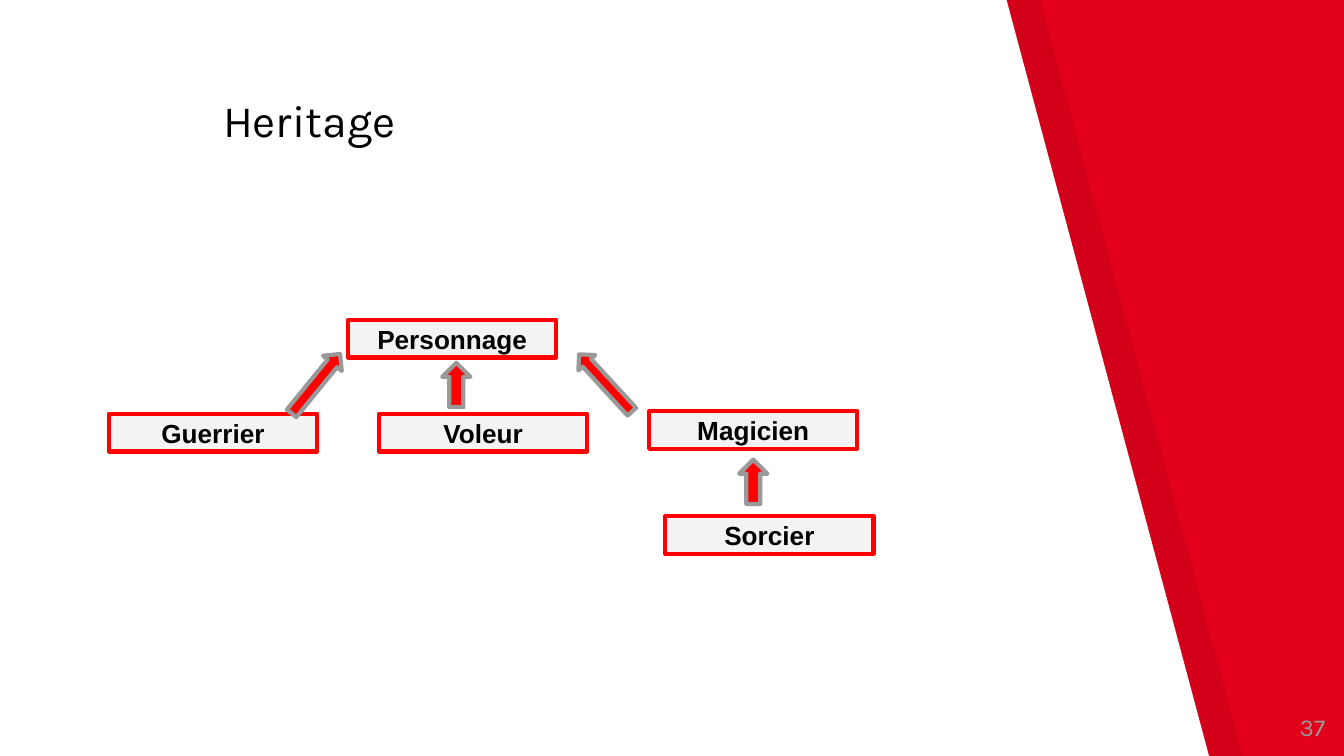
"""Build the inheritance slide: a class hierarchy beside a slanted red band."""
from lxml import etree
from pptx import Presentation
from pptx.dml.color import RGBColor
from pptx.enum.shapes import MSO_SHAPE
from pptx.enum.text import MSO_ANCHOR, MSO_AUTO_SIZE, PP_ALIGN
from pptx.oxml.ns import qn
from pptx.util import Inches, Pt

RECTANGLE, UP_ARROW = MSO_SHAPE.RECTANGLE, MSO_SHAPE.UP_ARROW
MIDDLE, BOTTOM = MSO_ANCHOR.MIDDLE, MSO_ANCHOR.BOTTOM
LEFT, CENTER, RIGHT = PP_ALIGN.LEFT, PP_ALIGN.CENTER, PP_ALIGN.RIGHT
NO_AUTOFIT = MSO_AUTO_SIZE.NONE

THEME = {
    "band": "E2001A", "page": "FFFFFF", "shade": "000000", "shade_alpha": 7,
    "text": "000000", "muted": "999999", "box": "F3F3F3", "accent": "FF0000",
    "title_font": "Karla", "box_font": "Arial",
    "title_size": 24, "number_size": 13, "box_size": 14, "line": 2.25,
}
SLIDE_WIDTH = 10
SLIDE_HEIGHT = SLIDE_WIDTH * 9 / 16
TITLE, TITLE_AREA = "Heritage", (1.56, 0.74, 6.55, 0.45)
PAGE_NUMBER, NUMBER_AREA = "37", (9.36, 5.19, 0.6, 0.43)
PANEL_OUTLINE = [(0, -0.01), (0, 5.64), (9, 5.64), (7.49, 0)]
PANELS = [(0.25, "shade", THEME["shade_alpha"]), (0, "page", 100)]
CLASS_SIZE = (1.55, 0.28)
CLASSES = [
    ("Personnage", 2.59, 2.38),
    ("Guerrier", 0.81, 3.08),
    ("Voleur", 2.82, 3.08),
    ("Magicien", 4.83, 3.06),
    ("Sorcier", 4.95, 3.84),
]
INHERITANCE_ARROWS = [
    ((2.26, 2.57, 0.18, 0.57), 39.2),
    ((3.29, 2.7, 0.21, 0.33), 0),
    ((4.42, 2.56, 0.17, 0.58), 317.4),
    ((5.5, 3.42, 0.21, 0.33), 0),
]


def color(name):
    return RGBColor.from_string(THEME[name])


def inches(values):
    return [Inches(value) for value in values]


def write(shape, text, font, size, ink, align, anchor, bold=False):
    frame = shape.text_frame
    frame.word_wrap = True
    frame.auto_size = NO_AUTOFIT
    frame.vertical_anchor = anchor
    frame.margin_left = frame.margin_right = Inches(0.1)
    frame.margin_top = frame.margin_bottom = Inches(0.1)
    paragraph = frame.paragraphs[0]
    paragraph.alignment = align
    run = paragraph.add_run()
    run.text = text
    run.font.name = THEME[font]
    run.font.size = Pt(THEME[size])
    run.font.bold = bold
    run.font.color.rgb = color(ink)


def add_outlined(slide, preset, area, fill, line):
    shape = slide.shapes.add_shape(preset, *inches(area))
    shape.shadow.inherit = False
    shape.fill.solid()
    shape.fill.fore_color.rgb = color(fill)
    shape.line.color.rgb = color(line)
    shape.line.width = Pt(THEME["line"])
    return shape


def add_panel(slide, shift, fill, alpha):
    start, *corners = [inches((x + shift, y)) for x, y in PANEL_OUTLINE]
    builder = slide.shapes.build_freeform(*start)
    builder.add_line_segments(corners, close=True)
    panel = builder.convert_to_shape()
    panel.shadow.inherit = False
    panel.fill.solid()
    panel.fill.fore_color.rgb = color(fill)
    panel.line.fill.background()
    if alpha < 100:
        tint = panel.element.spPr.find(qn("a:solidFill"))[0]
        etree.SubElement(tint, qn("a:alpha"), val=str(alpha * 1000))
    slide.shapes.title.element.addprevious(panel.element)


def main():
    deck = Presentation()
    deck.slide_width, deck.slide_height = inches((SLIDE_WIDTH, SLIDE_HEIGHT))
    slide = deck.slides.add_slide(deck.slide_layouts[5])
    slide.background.fill.solid()
    slide.background.fill.fore_color.rgb = color("band")
    for panel in PANELS:
        add_panel(slide, *panel)

    title = slide.shapes.title
    title.left, title.top, title.width, title.height = inches(TITLE_AREA)
    write(title, TITLE, "title_font", "title_size", "text", LEFT, BOTTOM)
    number = slide.shapes.add_textbox(*inches(NUMBER_AREA))
    write(number, PAGE_NUMBER, "title_font", "number_size", "muted", RIGHT, MIDDLE)

    for name, left, top in CLASSES:
        box = add_outlined(slide, RECTANGLE, (left, top, *CLASS_SIZE), "box", "accent")
        write(box, name, "box_font", "box_size", "text", CENTER, MIDDLE, bold=True)
    for area, angle in INHERITANCE_ARROWS:
        arrow = add_outlined(slide, UP_ARROW, area, "accent", "muted")
        arrow.rotation = angle

    deck.save("out.pptx")


if __name__ == "__main__":
    main()
